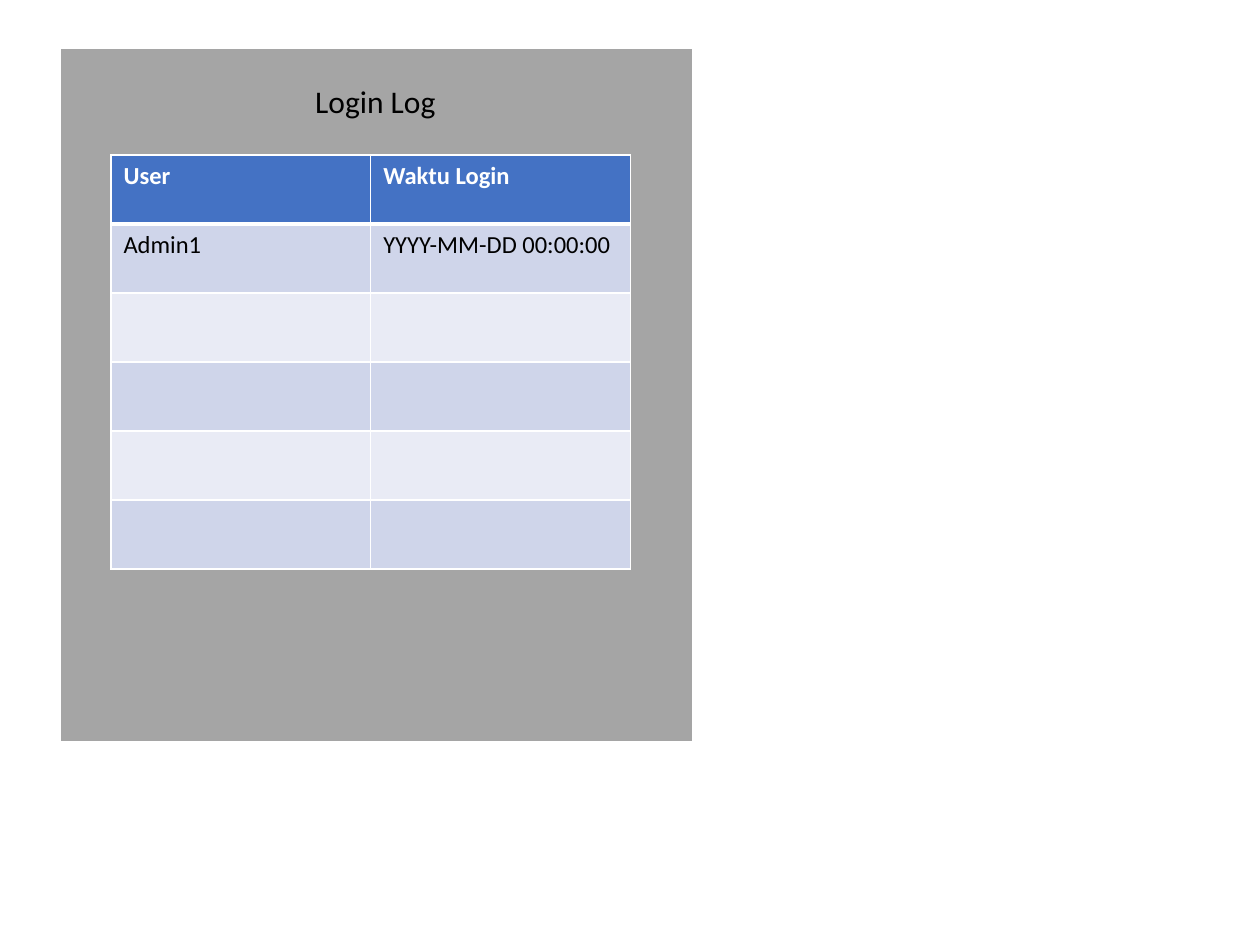
"""Builds the login log slide."""
from dataclasses import dataclass

from lxml import etree
from pptx import Presentation
from pptx import util as u
from pptx.dml.color import RGBColor
from pptx.enum import shapes, text
from pptx.oxml.ns import qn


@dataclass(frozen=True)
class Theme:
    """Colours, font and type sizes of the slide."""
    font: str = "Calibri"
    title_size: float = 18
    cell_size: float = 14
    ink: str = "000000"
    white: str = "FFFFFF"
    panel: str = "A5A5A5"
    header: str = "4472C4"
    bands: tuple = ("CFD5EA", "E9EBF5")


THEME = Theme()
ROWS = [("User", "Waktu Login"), ("Admin1", "YYYY-MM-DD 00:00:00")] + [("", "")] * 4
COL_WIDTH, ROW_HEIGHT = 148.4, 39.45
THIN, THICK = 1, 3


def points(*values):
    """Convert numbers to point lengths."""
    return [u.Pt(v) for v in values]


def put_text(tf, words, size, color, bold=False, align=text.PP_ALIGN.LEFT):
    """Write one formatted run into a text frame."""
    p = tf.paragraphs[0]
    p.alignment = align
    r = p.add_run()
    r.text = words
    for name, value in dict(name=THEME.font, size=u.Pt(size), bold=bold).items():
        setattr(r.font, name, value)
    r.font.color.rgb = RGBColor.from_string(color)


def add_title(s, words, box):
    """Place and format the title placeholder."""
    sp = s.shapes.title
    sp.left, sp.top, sp.width, sp.height = points(*box)
    tf = sp.text_frame
    formats = dict(word_wrap=True, auto_size=text.MSO_AUTO_SIZE.NONE,
                   vertical_anchor=text.MSO_ANCHOR.TOP)
    for name, value in formats.items():
        setattr(tf, name, value)
    put_text(tf, words, THEME.title_size, THEME.ink, align=text.PP_ALIGN.CENTER)
    return sp


def add_panel(s, box):
    """Add the grey panel behind the title."""
    sp = s.shapes.add_shape(shapes.MSO_SHAPE.RECTANGLE, *points(*box))
    sp.shadow.inherit = False
    sp.fill.solid()
    sp.fill.fore_color.rgb = RGBColor.from_string(THEME.panel)
    sp.line.color.rgb = RGBColor.from_string(THEME.white)
    sp.line.width = u.Pt(1.5)
    s.shapes.title.element.addprevious(sp.element)


def set_borders(cell, top, bottom):
    """Draw white borders round a cell, with the given top and bottom widths."""
    tc_pr = cell._tc.get_or_add_tcPr()
    sides = dict(lnL=THIN, lnR=THIN, lnT=top, lnB=bottom)
    for i, (side, width) in enumerate(sides.items()):
        ln = etree.Element(qn("a:" + side), w=str(u.Pt(width)))
        fill = etree.SubElement(ln, qn("a:solidFill"))
        etree.SubElement(fill, qn("a:srgbClr"), val=THEME.white)
        tc_pr.insert(i, ln)


def add_log_table(s, left, top):
    """Add the banded table with its header row."""
    n_rows, n_cols = len(ROWS), len(ROWS[0])
    size = (COL_WIDTH * n_cols, ROW_HEIGHT * n_rows)
    table = s.shapes.add_table(n_rows, n_cols, *points(left, top, *size)).table
    for col in table.columns:
        col.width = u.Pt(COL_WIDTH)
    for i, words in enumerate(ROWS):
        table.rows[i].height = u.Pt(ROW_HEIGHT)
        header = i == 0
        fill = THEME.header if header else THEME.bands[(i - 1) % 2]
        for j, word in enumerate(words):
            cell = table.cell(i, j)
            cell.fill.solid()
            cell.fill.fore_color.rgb = RGBColor.from_string(fill)
            set_borders(cell, THICK if i == 1 else THIN, THICK if header else THIN)
            if word:
                put_text(cell.text_frame, word, THEME.cell_size,
                         THEME.white if header else THEME.ink, header)


def main():
    """Build and save the slide."""
    prs = Presentation()
    prs.slide_width, prs.slide_height = points(720, 540)
    s = prs.slides.add_slide(prs.slide_layouts[5])
    add_title(s, "Login Log", (101.5, 43.2, 226, 29))
    add_panel(s, (34, 27.5, 362, 396.5))
    add_log_table(s, 63.4, 88.6)
    prs.save("out.pptx")


main()
